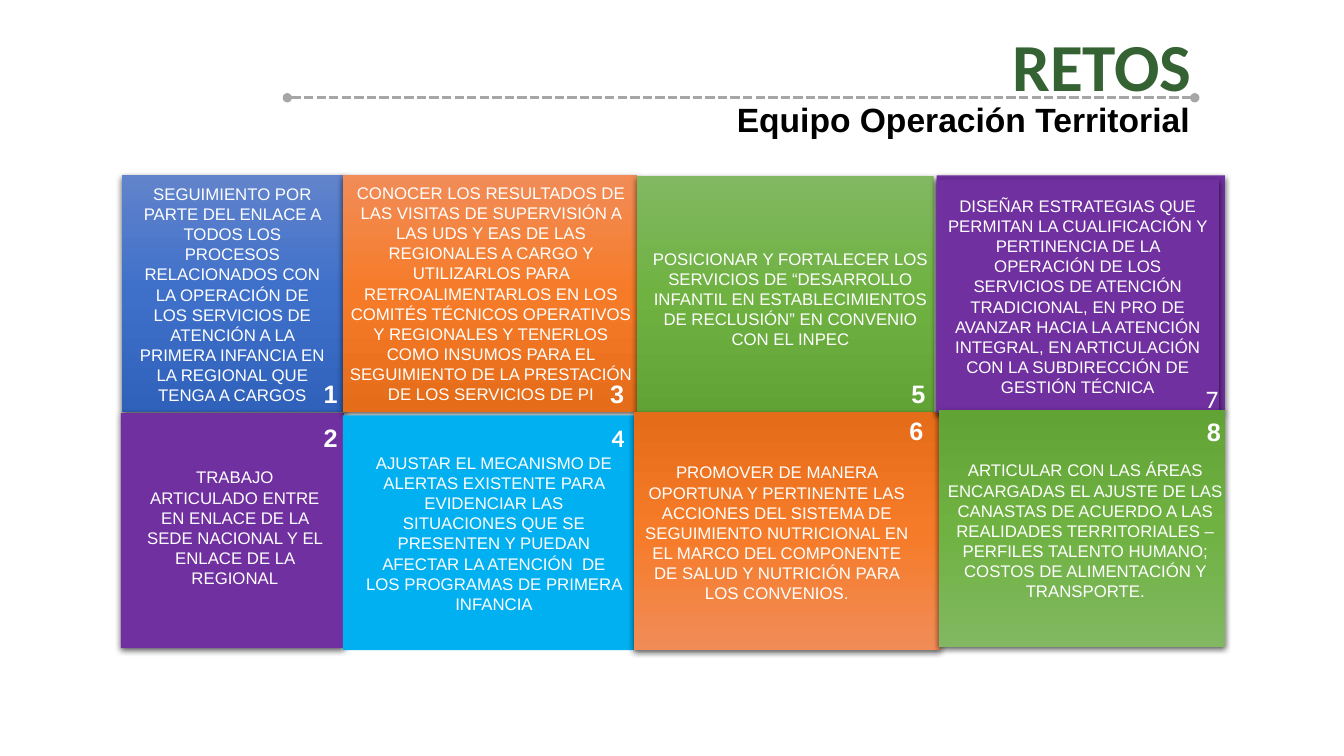
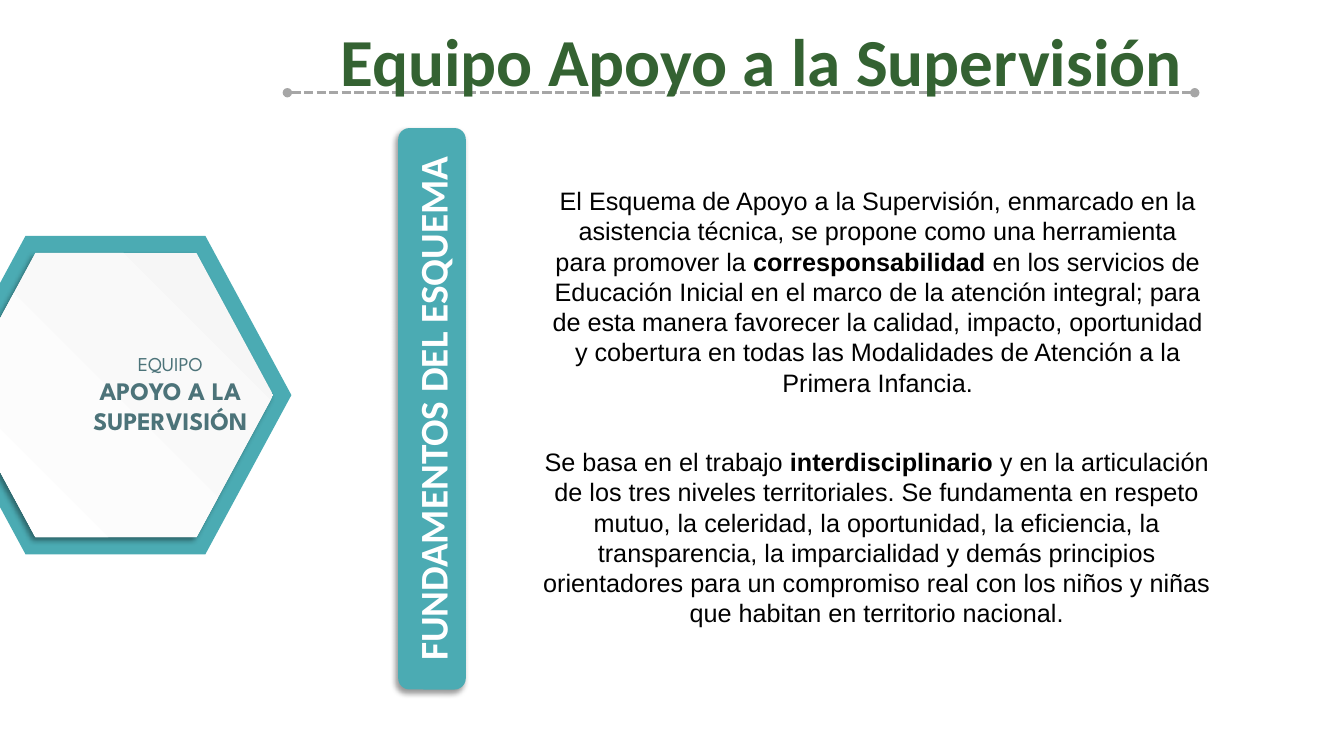
from dataclasses import dataclass
from typing import Optional

from pptx import Presentation
from pptx.dml.color import RGBColor
from pptx.enum import dml, shapes, text
from pptx.oxml import parse_xml
from pptx.oxml.ns import nsdecls, qn
from pptx.util import Inches, Pt

WHITE = RGBColor(0xFF, 0xFF, 0xFF)
BLACK = RGBColor(0x00, 0x00, 0x00)
GREEN_TITLE = RGBColor(0x34, 0x62, 0x32)
GRAY_RULE = RGBColor(0xA6, 0xA6, 0xA6)
PURPLE = RGBColor(0x70, 0x30, 0xA0)
SKY = RGBColor(0x00, 0xB0, 0xF0)
TEAL = RGBColor(0x4B, 0xAB, 0xB3)
TEAL_TEXT = RGBColor(0x4C, 0x73, 0x79)
PALE = RGBColor(0xF6, 0xF6, 0xF6)

# Gradients run from top to bottom
BLUES = (RGBColor(0x61, 0x83, 0xCB), RGBColor(0x3E, 0x70, 0xCA), RGBColor(0x30, 0x62, 0xBB))
ORANGES = (RGBColor(0xF1, 0x8C, 0x57), RGBColor(0xF6, 0x7B, 0x28), RGBColor(0xE5, 0x6C, 0x19))
GREENS = (RGBColor(0x81, 0xB8, 0x61), RGBColor(0x6F, 0xB2, 0x42), RGBColor(0x62, 0xA3, 0x36))

# Shadows: opacity %, blur pt, distance pt, direction in degrees
TILE_SHADOW = (63, 4.5, 1.5, 90)
SOFT_SHADOW = (40, 4, 3, 135)

RULE_LEFT, RULE_RIGHT = 2.85, 11.85
TITLE_RISE = 0.78


@dataclass
class Tile:
    box: tuple
    fill: object
    text_box: tuple
    text: str
    number_at: tuple
    number_font: str = "Arial"
    number_bold: bool = True
    shadow: Optional[tuple] = TILE_SHADOW
    panel: bool = False


TILES = [
    Tile((1.21, 1.74, 2.21, 2.35), BLUES, (1.27, 1.76, 2.07, 2.32),
         "SEGUIMIENTO POR PARTE DEL ENLACE A TODOS LOS PROCESOS RELACIONADOS CON LA "
         "OPERACIÓN DE LOS SERVICIOS DE ATENCIÓN A LA PRIMERA INFANCIA EN LA REGIONAL "
         "QUE TENGA A CARGOS", (3.28, 3.9)),
    Tile((1.2, 4.1, 2.21, 2.33), PURPLE, (1.33, 4.58, 2, 1.31),
         "TRABAJO ARTICULADO ENTRE EN ENLACE DE LA SEDE NACIONAL Y EL ENLACE DE LA "
         "REGIONAL", (3.28, 4.33)),
    Tile((3.4, 1.74, 2.92, 2.35), ORANGES, (3.33, 1.75, 3.08, 2.32),
         "CONOCER LOS RESULTADOS DE LAS VISITAS DE SUPERVISIÓN A LAS UDS Y EAS DE LAS "
         "REGIONALES A CARGO Y UTILIZARLOS PARA RETROALIMENTARLOS EN LOS COMITÉS "
         "TÉCNICOS OPERATIVOS Y REGIONALES Y TENERLOS COMO INSUMOS PARA EL SEGUIMIENTO "
         "DE LA PRESTACIÓN DE LOS SERVICIOS DE PI", (6.12, 3.9)),
    Tile((3.4, 4.12, 2.93, 2.33), SKY, (3.53, 4.21, 2.74, 2.16),
         "AJUSTAR EL MECANISMO DE ALERTAS EXISTENTE PARA EVIDENCIAR LAS SITUACIONES QUE "
         "SE PRESENTEN Y PUEDAN AFECTAR LA ATENCIÓN  DE LOS PROGRAMAS DE PRIMERA "
         "INFANCIA", (6.13, 4.33), number_font="Calibri", shadow=None),
    Tile((6.32, 1.75, 2.94, 2.35), GREENS, (6.35, 2.41, 2.98, 1.11),
         "POSICIONAR Y FORTALECER LOS SERVICIOS DE “DESARROLLO INFANTIL EN "
         "ESTABLECIMIENTOS DE RECLUSIÓN” EN CONVENIO CON EL INPEC", (9.11, 3.9)),
    Tile((6.29, 4.09, 3.04, 2.36), ORANGES[::-1], (6.25, 4.53, 2.91, 1.51),
         "PROMOVER DE MANERA OPORTUNA Y PERTINENTE LAS ACCIONES DEL SISTEMA DE "
         "SEGUIMIENTO NUTRICIONAL EN EL MARCO DEL COMPONENTE DE SALUD Y NUTRICIÓN PARA "
         "LOS CONVENIOS.", (9.09, 4.26)),
    Tile((9.29, 1.74, 2.86, 2.35), PURPLE, (9.29, 1.78, 2.8, 2.32),
         "DISEÑAR ESTRATEGIAS QUE PERMITAN LA CUALIFICACIÓN Y PERTINENCIA DE LA "
         "OPERACIÓN DE LOS SERVICIOS DE ATENCIÓN TRADICIONAL, EN PRO DE AVANZAR HACIA "
         "LA ATENCIÓN INTEGRAL, EN ARTICULACIÓN CON LA SUBDIRECCIÓN DE GESTIÓN TÉCNICA",
         (12.02, 3.95), number_font="Calibri", number_bold=False, panel=True),
    Tile((9.31, 4.07, 2.84, 2.35), GREENS[::-1], (9.25, 4.51, 3.03, 1.51),
         "ARTICULAR CON LAS ÁREAS ENCARGADAS EL AJUSTE DE LAS CANASTAS DE ACUERDO A LAS "
         "REALIDADES TERRITORIALES – PERFILES TALENTO HUMANO; COSTOS DE ALIMENTACIÓN Y "
         "TRANSPORTE.", (12.04, 4.27)),
]


def inches(box):
    return [Inches(v) for v in box]


def set_fill(sp, fill, angle):
    """Fill with one colour, or with a tuple of evenly spaced gradient colours."""
    if isinstance(fill, RGBColor):
        sp.fill.solid()
        sp.fill.fore_color.rgb = fill
        return
    sp.fill.gradient()
    sp.fill.gradient_angle = 360 - angle
    stops = sp._element.spPr.find(".//" + qn("a:gsLst"))
    for stop in list(stops):
        stops.remove(stop)
    for i, color in enumerate(fill):
        pos = 100000 * i // (len(fill) - 1)
        stops.append(parse_xml(
            f'<a:gs {nsdecls("a")} pos="{pos}"><a:srgbClr val="{color}"/></a:gs>'))


def set_shadow(sp, shadow):
    sp.shadow.inherit = False
    if shadow is None:
        return
    alpha, blur, dist, angle = shadow
    sp._element.spPr.find(qn("a:effectLst")).append(parse_xml(
        f'<a:outerShdw {nsdecls("a")} blurRad="{Pt(blur)}" dist="{Pt(dist)}" '
        f'dir="{angle * 60000}" algn="ctr" rotWithShape="0"><a:srgbClr val="000000">'
        f'<a:alpha val="{alpha * 1000}"/></a:srgbClr></a:outerShdw>'))


def add_block(s, kind, box, fill, shadow=None, angle=90):
    sp = s.shapes.add_shape(kind, *inches(box))
    set_fill(sp, fill, angle)
    sp.line.fill.background()
    set_shadow(sp, shadow)
    return sp


def write(sp, paragraphs, middle=False, wrap=True):
    """Write centred paragraphs, each (pieces, size, font, colour, bold).

    Pieces is a string, or a tuple in which every second piece is bold.
    """
    tf = sp.text_frame
    tf.word_wrap = wrap
    tf.vertical_anchor = text.MSO_ANCHOR.MIDDLE if middle else text.MSO_ANCHOR.TOP
    for i, (pieces, size, font, color, bold) in enumerate(paragraphs):
        p = tf.add_paragraph() if i else tf.paragraphs[0]
        p.alignment = text.PP_ALIGN.CENTER
        p.font.size, p.font.name, p.font.bold = Pt(size), font, bold
        p.font.color.rgb = color
        for j, piece in enumerate((pieces,) if isinstance(pieces, str) else pieces):
            r = p.add_run()
            r.text = piece
            if j % 2:
                r.font.bold = True


def add_text(s, box, *paragraphs, **options):
    write(s.shapes.add_textbox(*inches(box)), paragraphs, **options)


def add_header(s, title, left, width, rule_y):
    """Dashed rule with round ends, and the title that stands on it."""
    rule = s.shapes.add_connector(shapes.MSO_CONNECTOR.STRAIGHT,
                                  *inches((RULE_LEFT, rule_y, RULE_RIGHT, rule_y)))
    rule.line.color.rgb = GRAY_RULE
    rule.line.width = Pt(2.25)
    rule.line.dash_style = dml.MSO_LINE.SQUARE_DOT
    ln = rule.line._get_or_add_ln()
    for end in ("headEnd", "tailEnd"):
        ln.append(parse_xml(f'<a:{end} {nsdecls("a")} type="oval"/>'))
    rule._element.spPr.append(parse_xml(f'<a:effectLst {nsdecls("a")}/>'))
    add_text(s, (left, rule_y - TITLE_RISE, width, 0.91),
             (title, 48, "Calibri", GREEN_TITLE, True), wrap=False)


def add_tile(s, number, tile):
    rect = shapes.MSO_SHAPE.RECTANGLE
    add_block(s, rect, tile.box, tile.fill, tile.shadow)
    if tile.panel:
        add_block(s, rect, tile.text_box, tile.fill, tile.shadow)
    add_text(s, tile.text_box, (tile.text, 12, "Arial", WHITE, False), middle=True)
    x, y = tile.number_at
    add_text(s, (x - 0.25, y - 0.22, 0.5, 0.45),
             (str(number), 18, tile.number_font, WHITE, tile.number_bold), middle=True)


def add_hexagon(s, box, fill, **options):
    sp = add_block(s, shapes.MSO_SHAPE.HEXAGON, box, fill, **options)
    sp.adjustments[0] = 0.27


def build_challenges(s):
    add_header(s, "RETOS", 9.93, 2, 0.97)
    add_text(s, (7.19, 0.93, 4.73, 0.5),
             ("Equipo Operación Territorial", 24, "Arial", BLACK, True), wrap=False)
    for number, tile in enumerate(TILES, 1):
        add_tile(s, number, tile)


def build_support_team(s):
    add_header(s, "Equipo Apoyo a la Supervisión", 3.24, 8.63, 0.92)
    add_hexagon(s, (-0.6, 2.34, 3.49, 3.16), TEAL)
    add_hexagon(s, (-0.41, 2.51, 3.12, 2.82), (PALE, WHITE), shadow=SOFT_SHADOW, angle=135)
    add_text(s, (0.44, 3.44, 2.5, 0.94),
             ("EQUIPO", 14, "League Spartan", TEAL_TEXT, False),
             ("APOYO A LA SUPERVISIÓN", 18, "League Spartan", TEAL_TEXT, True))

    bar = add_block(s, shapes.MSO_SHAPE.ROUNDED_RECTANGLE, (1.5, 3.72, 5.57, 0.67),
                    TEAL, SOFT_SHADOW)
    bar.rotation = 270
    write(bar, [("FUNDAMENTOS DEL ESQUEMA", 28, "Calibri", WHITE, True)], middle=True)

    scheme = ("El Esquema de Apoyo a la Supervisión, enmarcado en la asistencia técnica, se "
              "propone como una herramienta para promover la ", "corresponsabilidad",
              " en los servicios de Educación Inicial en el marco de la atención integral; "
              "para de esta manera favorecer la calidad, impacto, oportunidad y cobertura en "
              "todas las Modalidades de Atención a la Primera Infancia.")
    basis = ("Se basa en el trabajo ", "interdisciplinario",
             " y en la articulación de los tres niveles territoriales. Se fundamenta en "
             "respeto mutuo, la celeridad, la oportunidad, la eficiencia, la transparencia, "
             "la imparcialidad y demás principios orientadores para un compromiso real con "
             "los niños y niñas que habitan en territorio nacional.")
    for box, pieces in (((5.37, 1.79, 6.67, 2.22), scheme), ((5.27, 4.38, 6.85, 1.92), basis)):
        add_text(s, box, (pieces, 18, "Arial", BLACK, False))


def main():
    prs = Presentation()
    prs.slide_width, prs.slide_height = Inches(13.33), Inches(7.5)
    for build in (build_challenges, build_support_team):
        build(prs.slides.add_slide(prs.slide_layouts[6]))
    prs.save("out.pptx")


if __name__ == "__main__":
    main()
